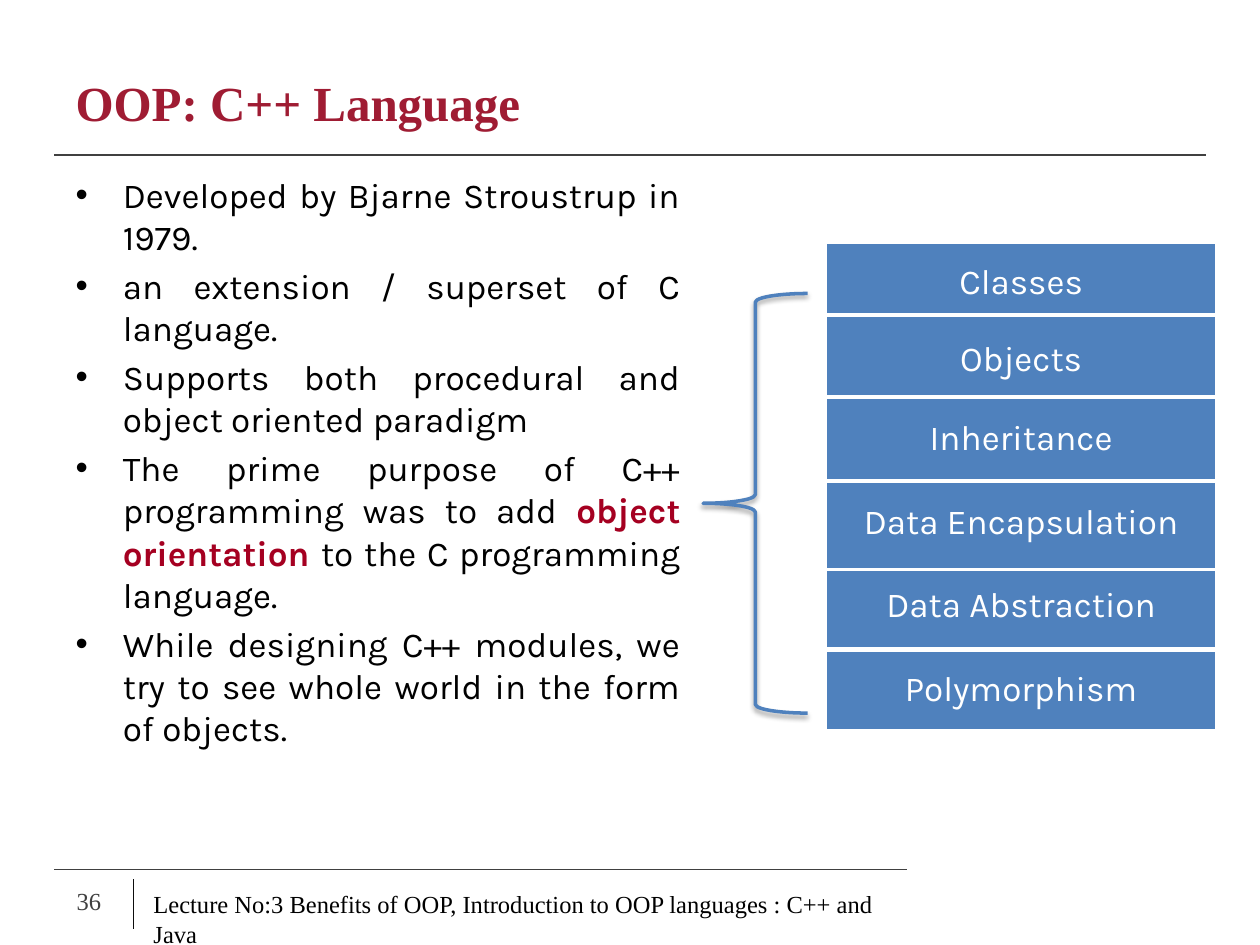
from dataclasses import dataclass
from lxml.etree import SubElement
from pptx import Presentation
from pptx.dml.color import RGBColor as Rgb
from pptx.enum.shapes import MSO_CONNECTOR as Conn, MSO_SHAPE as Kind
from pptx.enum.text import MSO_ANCHOR as Anchor, MSO_AUTO_SIZE as Auto, PP_ALIGN as Align
from pptx.oxml import parse_xml
from pptx.oxml.ns import nsdecls, qn
from pptx.util import Pt

SCALE = 9144


@dataclass(frozen=True)
class Theme:
    """Hold the colours, fonts and type sizes."""
    title: str = "9F1C33"
    accent: str = "A50021"
    blue: str = "4F81BD"
    grey: str = "404040"
    dark: str = "0D0D0D"
    black: str = "000000"
    white: str = "FFFFFF"
    serif: str = "Times New Roman"
    sans: str = "Karla"
    big: int = 28
    text: int = 20
    small: int = 14
    thin: float = 0.75
    thick: int = 2


THEME = Theme()
RULES = [
    (43, 690, 720, 690, THEME.grey),
    (106, 698, 106, 737, THEME.dark),
    (43, 123, 957, 123, THEME.grey),
]
POINTS = [
    ["Developed by Bjarne Stroustrup in 1979."],
    ["an extension / superset of C language."],
    ["Supports both procedural and object oriented paradigm"],
    ["The prime purpose of C++ programming was to add ", "object orientation ",
     "to the C programming language."],
    ["While designing C++ modules, we try to see whole world in the form of objects."],
]
TRAITS = [
    ("Classes", 192, 66),
    ("Objects", 250, 72),
    ("Data Abstraction", 447, 68),
    ("Data Encapsulation", 378, 74),
    ("Inheritance", 315, 67),
    ("Polymorphism", 516, 64),
]


def px(*vals):
    """Turn px lengths into EMU."""
    return [val * SCALE for val in vals]


def style(font, face, size, color, bold=False):
    """Set the look of a font."""
    font.name, font.size, font.bold = face, Pt(size), bold
    font.color.rgb = Rgb.from_string(color)


def place(shape, *box):
    """Move and size a shape."""
    shape.left, shape.top, shape.width, shape.height = px(*box)


def add_rule(slide, x1, y1, x2, y2, color):
    """Draw a thin straight rule."""
    line = slide.shapes.add_connector(Conn.STRAIGHT, *px(x1, y1, x2, y2))
    line.line.color.rgb = Rgb.from_string(color)
    line.line.width = Pt(THEME.thin)
    SubElement(line._element.spPr, qn("a:effectLst"))


def fill_title(slide, text):
    """Fill the title placeholder."""
    title = slide.shapes.title
    place(title, 50, 36, 900, 90)
    title.text_frame.text = text
    title.text_frame.vertical_anchor = Anchor.MIDDLE
    para = title.text_frame.paragraphs[0]
    para.alignment = Align.LEFT
    style(para.font, THEME.serif, THEME.big, THEME.title, True)


def fill_body(slide, points):
    """Fill the body placeholder, with the second run of a point stressed."""
    body = slide.placeholders[1]
    place(body, 50, 133, 500, 495)
    frame = body.text_frame
    frame.auto_size = Auto.NONE
    for num, parts in enumerate(points):
        para = frame.add_paragraph() if num else frame.paragraphs[0]
        if num == 0:
            para.space_before = Pt(0)
        para.alignment = Align.JUSTIFY
        style(para.font, THEME.sans, THEME.text, THEME.black)
        for spot, part in enumerate(parts):
            run = para.add_run()
            run.text = part
            if spot == 1:
                run.font.bold = True
                run.font.color.rgb = Rgb.from_string(THEME.accent)


def add_label(slide, text, box, color, anchor):
    """Add a small footer text."""
    frame = slide.shapes.add_textbox(*px(*box)).text_frame
    frame.word_wrap = True
    frame.vertical_anchor = anchor
    frame.text = text
    style(frame.paragraphs[0].font, THEME.serif, THEME.small, color)


def add_trait(slide, text, top, height):
    """Add one blue box with its name."""
    box = slide.shapes.add_shape(Kind.RECTANGLE, *px(655, top, 311, height))
    box.shadow.inherit = False
    box.fill.solid()
    box.fill.fore_color.rgb = Rgb.from_string(THEME.blue)
    box.line.color.rgb = Rgb.from_string(THEME.white)
    box.line.width = Pt(THEME.thick)
    frame = box.text_frame
    frame.margin_left, frame.margin_top, frame.margin_right, frame.margin_bottom = px(8, 8, 8, 8)
    frame.vertical_anchor = Anchor.MIDDLE
    frame.text = text
    para = frame.paragraphs[0]
    para.alignment = Align.CENTER
    para.line_spacing = 0.9
    style(para.font, THEME.sans, THEME.text, THEME.white)


def add_brace(slide):
    """Add the left brace with its soft shadow."""
    brace = slide.shapes.add_shape(Kind.LEFT_BRACE, *px(558, 233, 83, 333))
    brace.fill.background()
    brace.line.color.rgb = Rgb.from_string(THEME.blue)
    brace.line.width = Pt(THEME.thick)
    brace._element.spPr.append(parse_xml(
        f'<a:effectLst {nsdecls("a")}><a:outerShdw blurRad="{Pt(3.1)}" dist="{Pt(1.6)}" '
        f'dir="5400000" rotWithShape="0"><a:srgbClr val="{THEME.black}">'
        '<a:alpha val="38000"/></a:srgbClr></a:outerShdw></a:effectLst>'))


def main():
    """Build and save the slide."""
    deck = Presentation()
    deck.slide_width, deck.slide_height = px(1000, 750)
    slide = deck.slides.add_slide(deck.slide_layouts[1])
    for rule in RULES:
        add_rule(slide, *rule)
    fill_title(slide, "OOP: C++ Language")
    fill_body(slide, POINTS)
    add_label(slide, "36", (51, 695, 52, 40), THEME.grey, Anchor.MIDDLE)
    for trait in TRAITS:
        add_trait(slide, *trait)
    add_brace(slide)
    add_label(slide, "Lecture No:3 Benefits of OOP, Introduction to OOP languages : C++ and Java",
              (112, 701, 630, 34), THEME.black, Anchor.TOP)
    deck.save("out.pptx")


if __name__ == "__main__":
    main()
